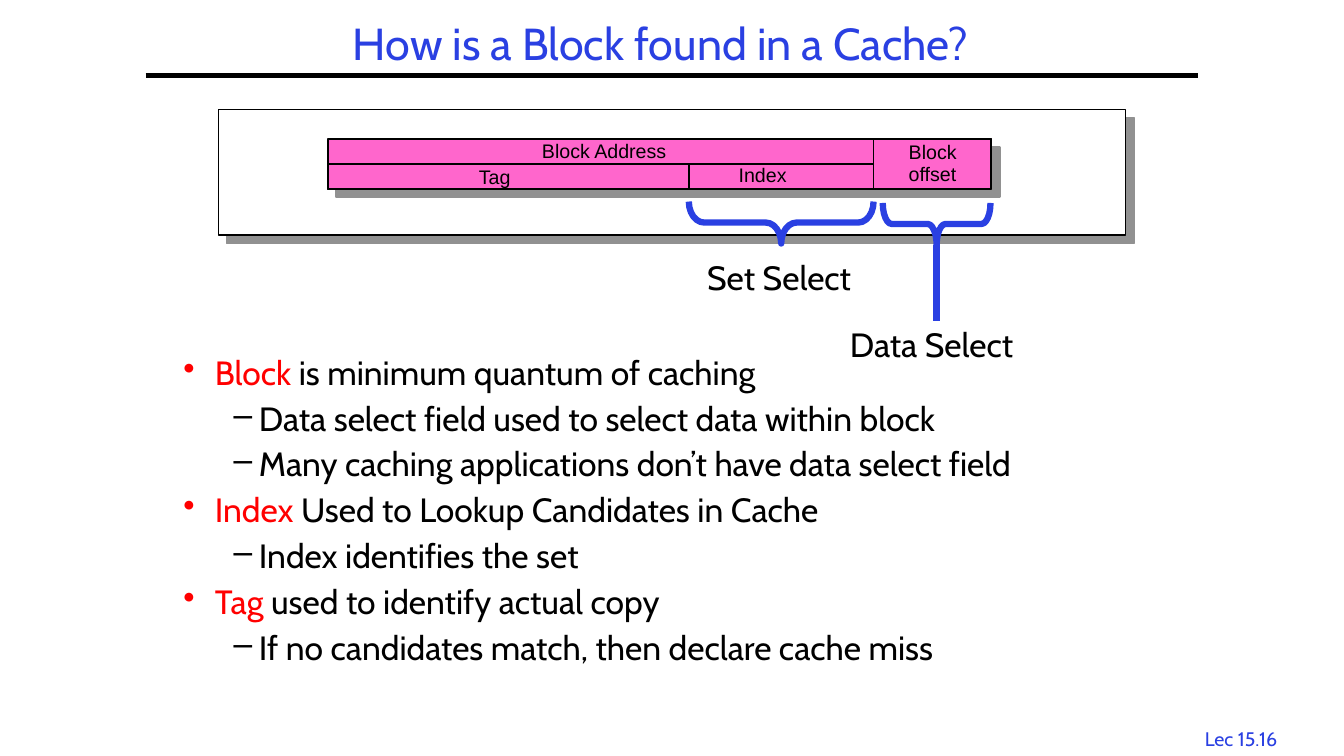
from dataclasses import dataclass

from lxml import etree
from pptx import Presentation
from pptx.dml.color import RGBColor
from pptx.enum.shapes import MSO_CONNECTOR, MSO_SHAPE
from pptx.enum.text import MSO_ANCHOR, MSO_AUTO_SIZE, PP_ALIGN
from pptx.oxml.ns import qn
from pptx.util import Pt

RECTANGLE = MSO_SHAPE.RECTANGLE
BRACE = MSO_SHAPE.RIGHT_BRACE
STRAIGHT = MSO_CONNECTOR.STRAIGHT
LEFT, CENTER = PP_ALIGN.LEFT, PP_ALIGN.CENTER
TOP, MIDDLE = MSO_ANCHOR.TOP, MSO_ANCHOR.MIDDLE
FIT_SHAPE = MSO_AUTO_SIZE.SHAPE_TO_FIT_TEXT

BLACK, WHITE, BLUE = "000000", "FFFFFF", "2A40E2"
RED, PINK, GRAY = "FF0000", "FF66CC", "919191"
HEADING_FONT, FIELD_FONT = "Cabin", "Arial"


@dataclass(frozen=True)
class Box:
    left: float
    top: float
    width: float
    height: float

    def lengths(self):
        return Pt(self.left), Pt(self.top), Pt(self.width), Pt(self.height)


@dataclass(frozen=True)
class Field:
    box: Box
    weight: float = 1
    fill: str | None = None
    shadow: bool = False


@dataclass(frozen=True)
class Label:
    text: str
    box: Box
    size: float = 14
    font: str = FIELD_FONT
    spacing: float = 1.0


@dataclass(frozen=True)
class Brace:
    center_x: float
    center_y: float
    span: float
    curve: float


@dataclass(frozen=True)
class Point:
    term: str
    text: str
    level: int = 0


FIELDS = [
    Field(Box(156, 78, 648, 90), fill=WHITE, shadow=True),
    Field(Box(234, 99, 474, 36), weight=1.5, fill=PINK, shadow=True),
    Field(Box(234, 117, 390, 18)),
    Field(Box(492, 117, 132, 18)),
    Field(Box(624, 99, 84, 36)),
]
LABELS = [
    Label("Block\noffset", Box(642, 98.6, 49, 37.4), spacing=0.9),
    Label("Block Address", Box(380, 96, 104, 24)),
    Label("Tag", Box(335, 114.5, 38, 24)),
    Label("Index", Box(520.5, 113, 49, 24)),
    Label("Set Select", Box(498, 180, 125.5, 36.5), 24, HEADING_FONT),
    Label("Data Select", Box(600, 228, 139.5, 36.5), 24, HEADING_FONT),
]
BRACE_DEPTH = 30
BRACES = [Brace(558, 159, 132, 0.367), Brace(669, 160, 77, 0.214)]
POINTS = [
    Point("Block", " is minimum quantum of caching"),
    Point("", "Data select field used to select data within block", 1),
    Point("", "Many caching applications don’t have data select field", 1),
    Point("Index", " Used to Lookup Candidates in Cache"),
    Point("", "Index identifies the set", 1),
    Point("Tag", " used to identify actual copy"),
    Point("", "If no candidates match, then declare cache miss", 1),
]


def rgb(value: str) -> RGBColor:
    return RGBColor.from_string(value)


def add_text(slide, text: str, box: Box, *, size: float, font: str = HEADING_FONT,
             color: str = BLACK, align=LEFT, anchor=TOP, spacing: float = 1.0,
             wrap: bool = False) -> None:
    frame = slide.shapes.add_textbox(*box.lengths()).text_frame
    frame.word_wrap = wrap
    frame.vertical_anchor = anchor
    if not wrap:
        frame.auto_size = FIT_SHAPE
    frame.text = text
    for paragraph in frame.paragraphs:
        paragraph.alignment = align
        paragraph.line_spacing = spacing
        for run in paragraph.runs:
            format_run(run, size, font, color)


def format_run(run, size: float, font: str, color: str) -> None:
    run.font.size = Pt(size)
    run.font.name = font
    run.font.color.rgb = rgb(color)


def add_shadow(shape) -> None:
    effects = shape._element.spPr.find(qn("a:effectLst"))
    shadow = etree.SubElement(effects, qn("a:outerShdw"), dist=str(Pt(8.5)),
                              dir="2700000", algn="ctr", rotWithShape="0")
    etree.SubElement(shadow, qn("a:srgbClr"), val=GRAY)


def add_field(slide, field: Field) -> None:
    shape = slide.shapes.add_shape(RECTANGLE, *field.box.lengths())
    shape.shadow.inherit = False
    if field.fill:
        shape.fill.solid()
        shape.fill.fore_color.rgb = rgb(field.fill)
    else:
        shape.fill.background()
    shape.line.color.rgb = rgb(BLACK)
    shape.line.width = Pt(field.weight)
    if field.shadow:
        add_shadow(shape)


def add_brace(slide, brace: Brace) -> None:
    box = Box(brace.center_x - BRACE_DEPTH / 2, brace.center_y - brace.span / 2,
              BRACE_DEPTH, brace.span)
    shape = slide.shapes.add_shape(BRACE, *box.lengths())
    shape.rotation = 90
    shape.adjustments[0] = brace.curve
    shape.adjustments[1] = 0.5
    shape.shadow.inherit = False
    shape.fill.background()
    shape.line.color.rgb = rgb(BLUE)
    shape.line.width = Pt(4.5)


def add_line(slide, x1: float, y1: float, x2: float, y2: float,
             color: str, weight: float) -> None:
    line = slide.shapes.add_connector(STRAIGHT, Pt(x1), Pt(y1), Pt(x2), Pt(y2))
    line.line.color.rgb = rgb(color)
    line.line.width = Pt(weight)
    etree.SubElement(line._element.spPr, qn("a:effectLst"))


def add_points(slide, points: list[Point], box: Box) -> None:
    frame = slide.shapes.add_textbox(*box.lengths()).text_frame
    frame.word_wrap = True
    frame.margin_left = frame.margin_right = Pt(5)
    frame.margin_top = frame.margin_bottom = Pt(2.5)
    for index, point in enumerate(points):
        paragraph = frame.add_paragraph() if index else frame.paragraphs[0]
        margin, indent, mark, color = (
            (54, -18, "–", BLACK) if point.level else (22.5, -22.5, "•", RED))
        paragraph.level = point.level
        properties = paragraph._p.get_or_add_pPr()
        properties.set("marL", str(Pt(margin)))
        properties.set("indent", str(Pt(indent)))
        bullet_color = etree.SubElement(properties, qn("a:buClr"))
        etree.SubElement(bullet_color, qn("a:srgbClr"), val=color)
        etree.SubElement(properties, qn("a:buChar"), char=mark)
        paragraph.line_spacing = 0.9
        if index:
            paragraph.space_before = Pt(6.8)
        for text, text_color in ((point.term, RED), (point.text, BLACK)):
            if text:
                run = paragraph.add_run()
                run.text = text
                format_run(run, 24, HEADING_FONT, text_color)


def main() -> None:
    deck = Presentation()
    deck.slide_width, deck.slide_height = Pt(960), Pt(540)
    slide = deck.slides.add_slide(deck.slide_layouts[6])
    add_text(slide, "Lec 15.16", Box(847.5, 515.5, 78, 24), size=14, color=BLUE,
             align=CENTER)
    add_line(slide, 104, 54, 856, 54, BLACK, 3)
    add_points(slide, POINTS, Box(126, 252, 714, 240))
    add_text(slide, "How is a Block found in a Cache?", Box(180, 18, 584, 29),
             size=32, color=BLUE, align=CENTER, anchor=MIDDLE, spacing=0.9, wrap=True)
    for field in FIELDS:
        add_field(slide, field)
    for label in LABELS:
        add_text(slide, label.text, label.box, size=label.size, font=label.font,
                 spacing=label.spacing)
    for brace in BRACES:
        add_brace(slide, brace)
    data_brace = BRACES[1]
    add_line(slide, data_brace.center_x, data_brace.center_y + BRACE_DEPTH / 2,
             data_brace.center_x, 229, BLUE, 4.5)
    deck.save("out.pptx")


if __name__ == "__main__":
    main()
